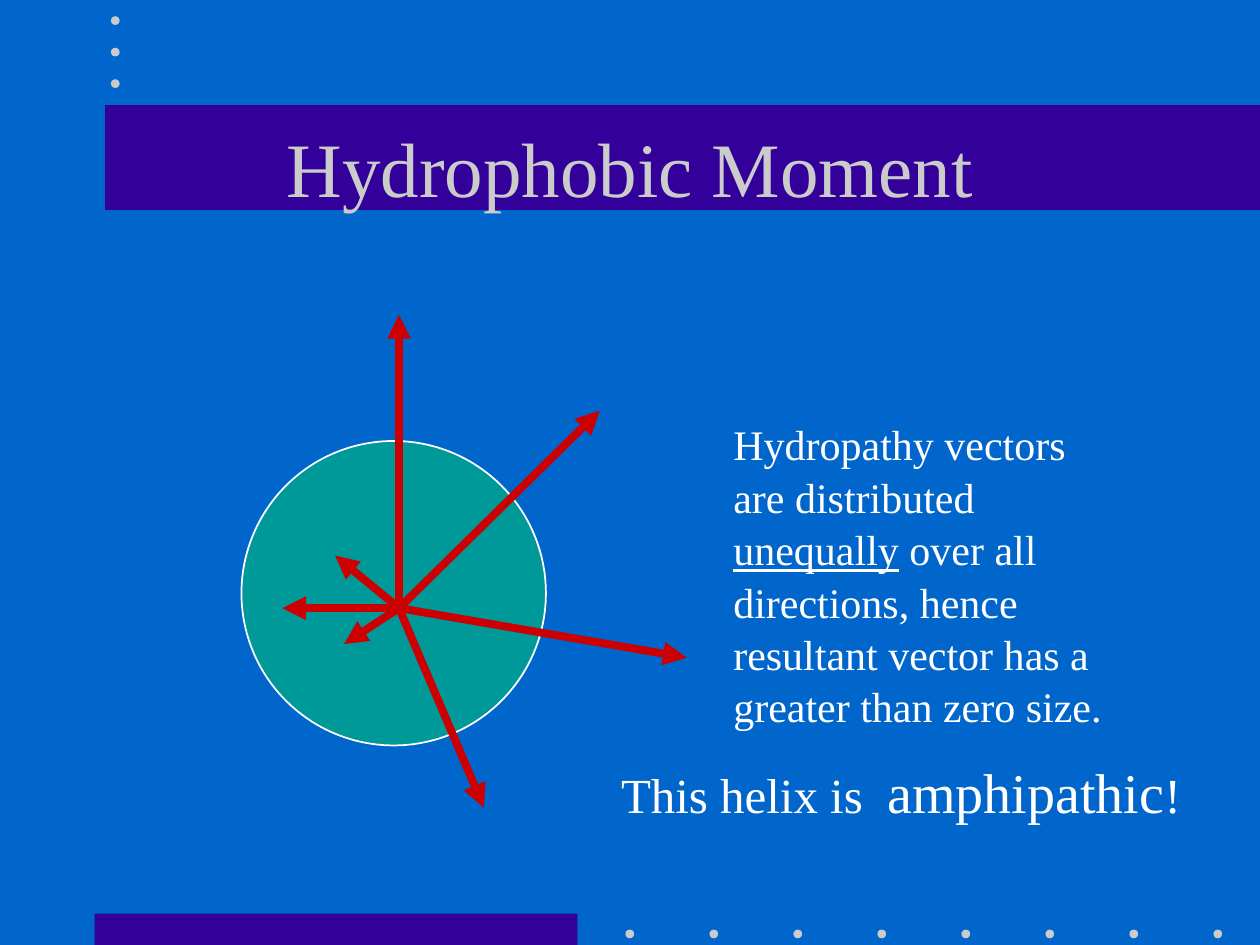
from lxml.etree import SubElement
from pptx import Presentation
from pptx.dml.color import RGBColor
from pptx.enum.shapes import MSO_CONNECTOR, MSO_SHAPE
from pptx.enum.text import MSO_ANCHOR, PP_ALIGN
from pptx.oxml.ns import qn
from pptx.util import Pt

COLORS = {
    "background": "0066CC",
    "band": "330099",
    "dot": "CBCBCB",
    "helix": "009999",
    "vector": "CC0000",
    "text": "FFFFFF",
}
FONT = "Times New Roman"
DOT_SIZE = 5
HELIX_AXIS = (228, 347.5)
VECTOR_TIPS = [
    (228, 180),
    (392.4, 375.8),
    (191.5, 317.5),
    (196.6, 368),
    (276.5, 461.5),
    (342.7, 234.7),
    (161.3, 347.5),
]


def color(name):
    return RGBColor.from_string(COLORS[name])


def add_filled_shape(slide, kind, left, top, width, height, fill, outline=None):
    shape = slide.shapes.add_shape(kind, Pt(left), Pt(top), Pt(width), Pt(height))
    shape.shadow.inherit = False
    shape.fill.solid()
    shape.fill.fore_color.rgb = color(fill)
    if outline:
        shape.line.color.rgb = color(outline)
        shape.line.width = Pt(1)
    else:
        shape.line.fill.background()


def add_dots(slide, left, top, count, step_x=0, step_y=0):
    for index in range(count):
        add_filled_shape(slide, MSO_SHAPE.OVAL, left + index * step_x,
                         top + index * step_y, DOT_SIZE, DOT_SIZE, "dot")


def add_vector(slide, tip):
    start_x, start_y = HELIX_AXIS
    end_x, end_y = tip
    connector = slide.shapes.add_connector(
        MSO_CONNECTOR.STRAIGHT, Pt(start_x), Pt(start_y), Pt(end_x), Pt(end_y))
    connector.line.color.rgb = color("vector")
    connector.line.width = Pt(4.5)
    SubElement(connector.line._get_or_add_ln(), qn("a:tailEnd"), type="triangle")
    SubElement(connector._element.spPr, qn("a:effectLst"))


def write_runs(shape, runs, text_color, top_margin):
    frame = shape.text_frame
    frame.word_wrap = True
    frame.margin_top = Pt(top_margin)
    paragraph = frame.paragraphs[0]
    paragraph.line_spacing = 1.04
    for text, size, underline in runs:
        run = paragraph.add_run()
        run.text = text
        run.font.name = FONT
        run.font.size = Pt(size)
        run.font.underline = underline
        run.font.color.rgb = color(text_color)
    return paragraph


def add_text(slide, left, top, width, height, runs):
    box = slide.shapes.add_textbox(Pt(left), Pt(top), Pt(width), Pt(height))
    write_runs(box, runs, "text", 5)


def format_title(slide, text):
    title = slide.shapes.title
    title.left, title.top, title.width, title.height = Pt(54), Pt(48), Pt(612), Pt(90)
    title.text_frame.vertical_anchor = MSO_ANCHOR.MIDDLE
    paragraph = write_runs(title, [(text, 44, False)], "dot", 6.5)
    paragraph.alignment = PP_ALIGN.CENTER
    slide.shapes._spTree.append(title._element)


def main():
    presentation = Presentation()
    presentation.slide_width = Pt(720)
    presentation.slide_height = Pt(540)
    slide = presentation.slides.add_slide(presentation.slide_layouts[5])
    slide.background.fill.solid()
    slide.background.fill.fore_color.rgb = color("background")

    add_filled_shape(slide, MSO_SHAPE.RECTANGLE, 54, 522, 276, 18, "band")
    add_dots(slide, 357.4, 531.2, 8, step_x=48)
    add_filled_shape(slide, MSO_SHAPE.RECTANGLE, 60, 60, 660, 60, "band")
    add_dots(slide, 63.4, 9.3, 3, step_y=18)
    format_title(slide, "Hydrophobic Moment")

    add_filled_shape(slide, MSO_SHAPE.OVAL, 138, 252, 174, 174, "helix", "text")
    for tip in VECTOR_TIPS:
        add_vector(slide, tip)

    add_text(slide, 412, 233.3, 232.6, 180, [
        ("Hydropathy vectors are distributed ", 24, False),
        ("unequally", 24, True),
        (" over all directions, hence resultant vector has a greater than zero size.",
         24, False),
    ])
    add_text(slide, 347.8, 426.2, 341.3, 46, [
        ("This helix is  ", 28, False),
        ("amphipathic", 32, False),
        ("!", 28, False),
    ])
    presentation.save("out.pptx")


if __name__ == "__main__":
    main()
